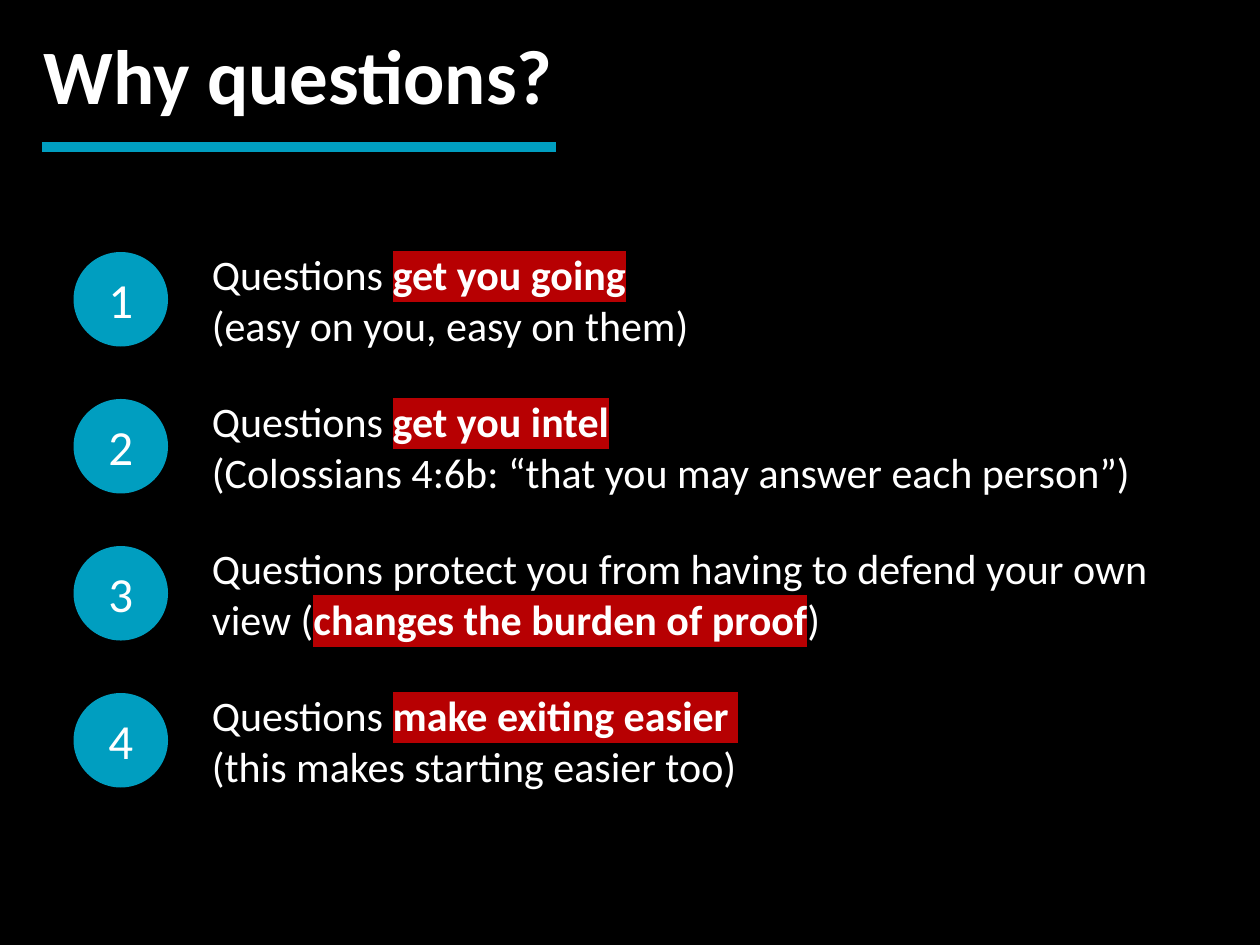
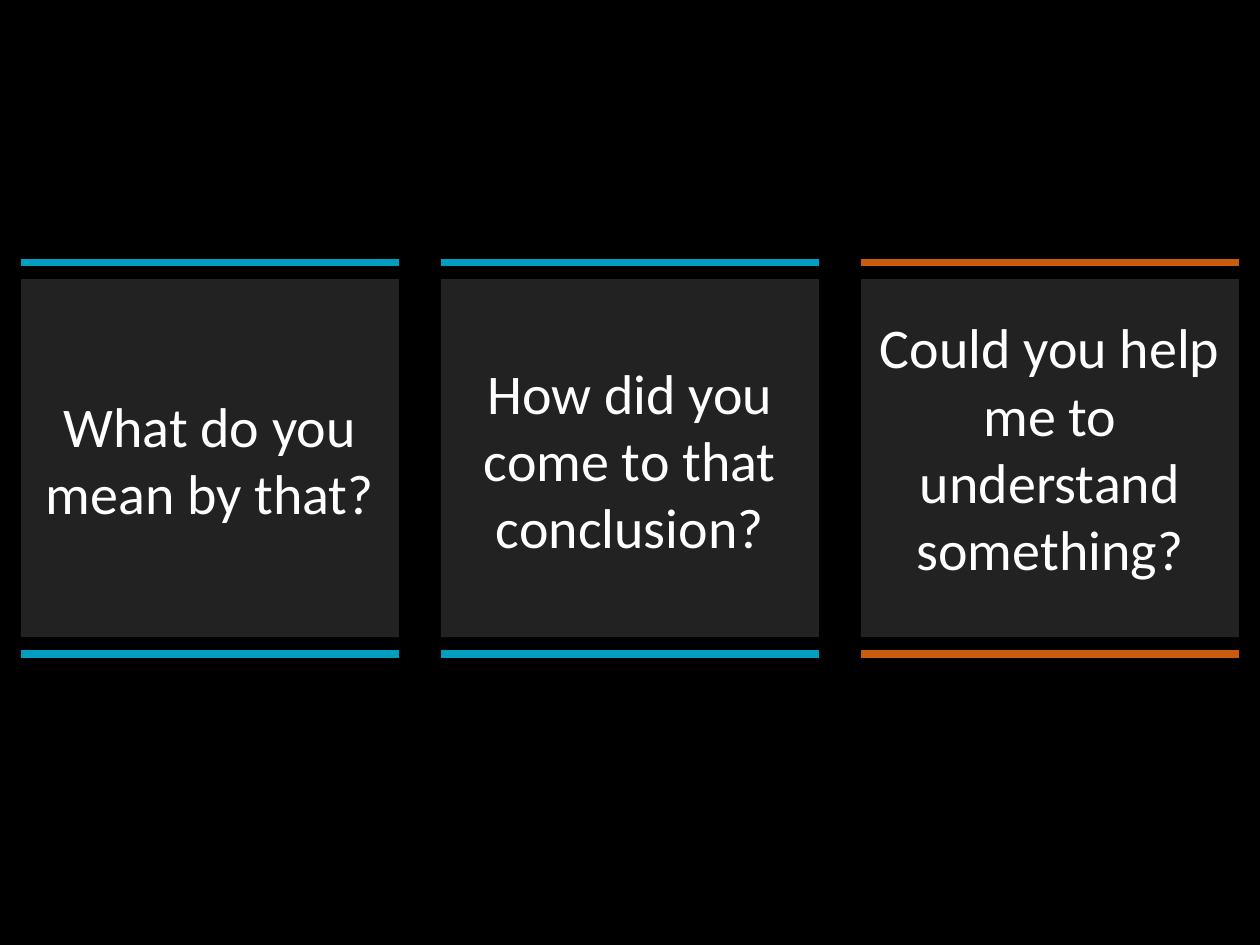
from lxml.etree import SubElement
from pptx import Presentation
from pptx.dml.color import RGBColor
from pptx.enum.shapes import MSO_CONNECTOR as Link, MSO_SHAPE as Preset
from pptx.enum.text import MSO_ANCHOR as Anchor, MSO_AUTO_SIZE as AutoSize, PP_ALIGN as Align
from pptx.oxml import parse_xml
from pptx.oxml.ns import nsdecls, qn
from pptx.util import Emu, Pt

PX = 7620
COLOURS = {
    "background": "000000",
    "text": "FFFFFF",
    "accent": "009EC0",
    "contrast": "CA5C0E",
    "card": "222222",
    "highlight": "B70002",
}
REASONS = [
    ["Questions *get you going*", "(easy on you, easy on them)"],
    ["Questions *get you intel*", "(Colossians 4:6b: “that you may answer each person”)"],
    ["Questions protect you from having to defend your own view (*changes the burden of proof*)"],
    ["Questions *make exiting easier *", "(this makes starting easier too)"],
]
QUESTIONS = [
    ("What do you mean by that?", "accent", 2, 437),
    ("How did you come to that conclusion?", "accent", 3, 437),
    ("Could you help me to understand something?", "contrast", 4, 426),
]


def colour(name):
    return RGBColor.from_string(COLOURS[name])


def px(*lengths):
    return [Emu(length * PX) for length in lengths]


class SlideWriter:
    font = "Calibri"

    def __init__(self):
        self.deck = Presentation()
        self.deck.slide_width, self.deck.slide_height = px(1200, 900)

    def new_page(self):
        self.page = self.deck.slides.add_slide(self.deck.slide_layouts[6])
        fill = self.page.background.fill
        fill.solid()
        fill.fore_color.rgb = colour("background")
        self.shapes = self.page.shapes

    def new_group(self):
        self.shapes = self.page.shapes.add_group_shape().shapes

    def format_span(self, span, size, bold=False, highlighted=False):
        span.font.size = Pt(size)
        span.font.bold = bold
        span.font.color.rgb = colour("text")
        span.font.name = self.font
        if highlighted:
            mark = parse_xml(f"<a:highlight {nsdecls('a')}/>")
            SubElement(mark, qn("a:srgbClr"), val=COLOURS["highlight"])
            span._r.rPr.find(qn("a:solidFill")).addnext(mark)

    def shape(self, preset, left, top, width, height, fill, text="", size=28):
        box = self.shapes.add_shape(preset, *px(left, top, width, height))
        box.shadow.inherit = False
        box.fill.solid()
        box.fill.fore_color.rgb = colour(fill)
        box.line.fill.background()
        if text:
            frame = box.text_frame
            frame.text = text
            frame.vertical_anchor = Anchor.MIDDLE
            frame.paragraphs[0].alignment = Align.CENTER
            self.format_span(frame.paragraphs[0].runs[0], size)

    def text(self, left, top, width, height, lines, size, bold=False,
             align=Align.LEFT, anchor=Anchor.MIDDLE, grow=False):
        frame = self.shapes.add_textbox(*px(left, top, width, height)).text_frame
        frame.word_wrap = True
        frame.vertical_anchor = anchor
        frame.auto_size = AutoSize.SHAPE_TO_FIT_TEXT if grow else AutoSize.NONE
        for index, line in enumerate(lines):
            para = frame.add_paragraph() if index else frame.paragraphs[0]
            para.alignment = align
            for part, words in enumerate(line.split("*")):
                if words:
                    span = para.add_run()
                    span.text = words
                    strong = part % 2 == 1
                    self.format_span(span, size, bold or strong, strong)

    def rule(self, left, top, width, stroke, weight):
        line = self.shapes.add_connector(Link.STRAIGHT, *px(left, top, left + width, top))
        line.line.color.rgb = colour(stroke)
        line.line.width = Pt(weight)
        SubElement(line._element.spPr, qn("a:effectLst"))

    def title(self, text, rule_width):
        self.text(30, 20, 1130, 101, [text], 44, bold=True, anchor=Anchor.TOP, grow=True)
        self.rule(40, 140, rule_width, "accent", 6)

    def reason(self, number, lines):
        top = 100 + 140 * number
        self.new_group()
        self.shape(Preset.OVAL, 70, top, 90, 90, "accent", str(number))
        self.text(190, top, 930, 90, lines, 24)

    def question_card(self, column, question, stroke, line_count, middle):
        left, width = 20 + 400 * column, 360
        height = 14 + 64 * line_count
        self.new_group()
        self.shape(Preset.RECTANGLE, left, 266, width, 341, "card")
        for top in (250, 623):
            self.rule(left, top, width, stroke, 4.25)
        self.text(left, middle - height // 2, width, height, [question], 32,
                  align=Align.CENTER, grow=True)


def main():
    writer = SlideWriter()

    writer.new_page()
    writer.title("Why questions?", 490)
    for number, lines in enumerate(REASONS, start=1):
        writer.reason(number, lines)

    writer.new_page()
    for column, card in enumerate(QUESTIONS):
        writer.question_card(column, *card)

    writer.deck.save("out.pptx")


if __name__ == "__main__":
    main()
